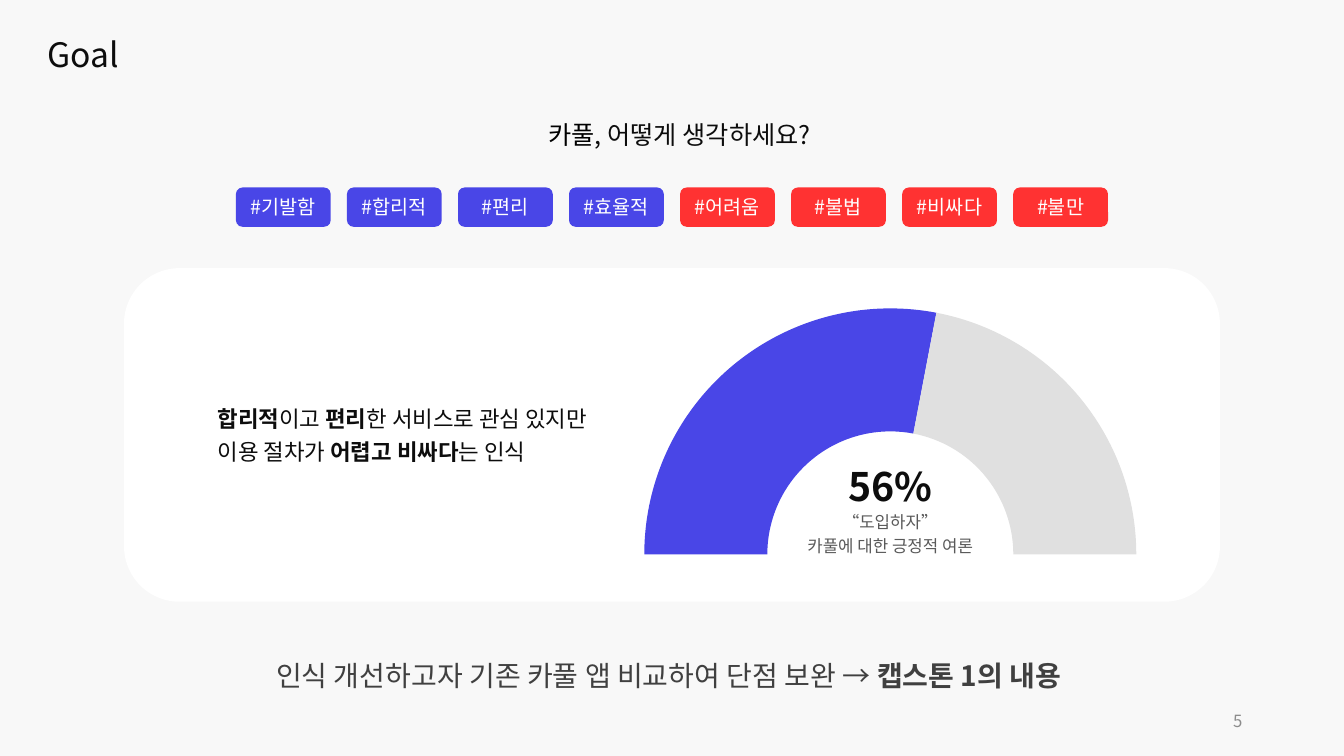
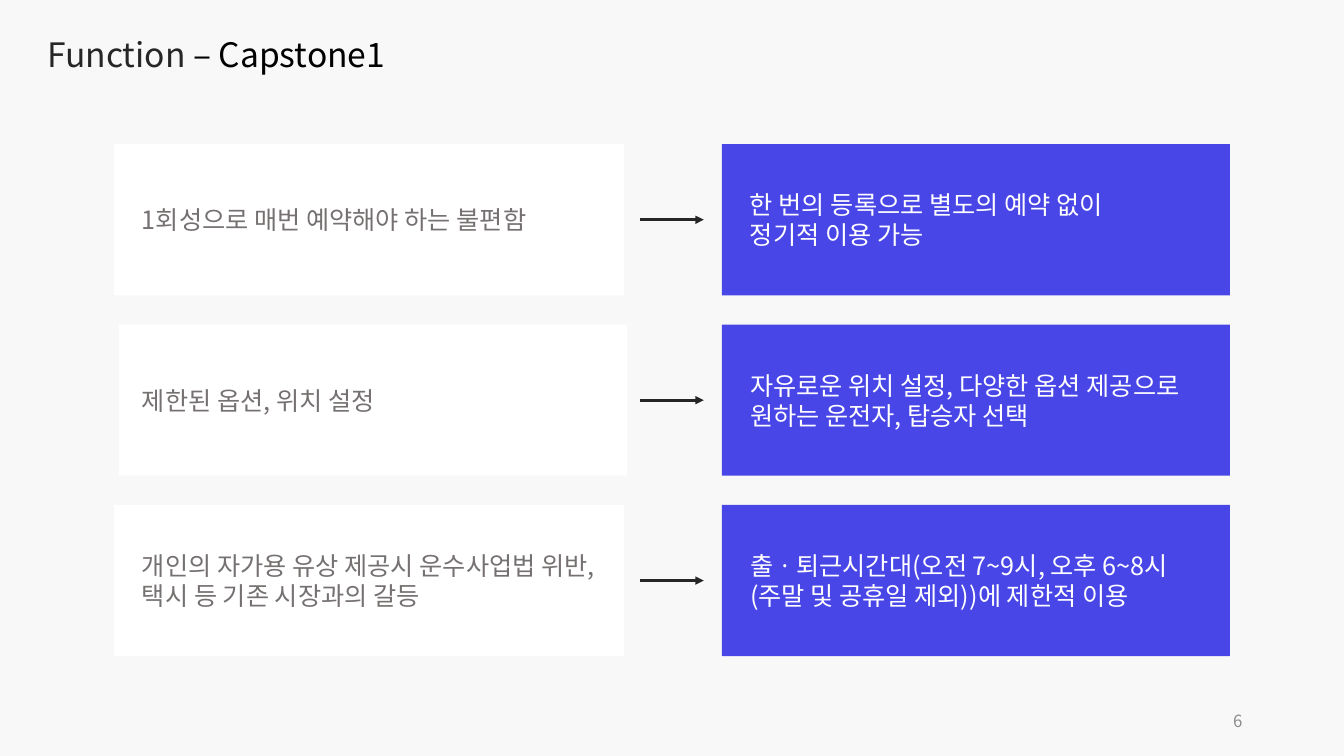
from pptx import Presentation
from pptx.dml.color import RGBColor
from pptx.enum.shapes import MSO_CONNECTOR, MSO_SHAPE
from pptx.enum.text import MSO_ANCHOR, PP_ALIGN
from pptx.oxml.ns import qn
from pptx.util import Inches, Pt
from lxml.etree import SubElement

FONT = "Noto Sans CJK KR"
COLORS = {
    "back": "F8F8F8", "white": "FFFFFF", "blue": "4946E7", "red": "FF3232",
    "track": "E0E0E0", "black": "000000", "ink": "0D0D0D", "dark": "262626",
    "closing": "404040", "caption": "595959", "muted": "767171", "number": "8C8C8C",
}


def add_shape(page, kind, left, top, width, height, color):
    shape = page.shapes.add_shape(kind, Inches(left), Inches(top), Inches(width), Inches(height))
    shape.shadow.inherit = False
    shape.fill.solid()
    shape.fill.fore_color.rgb = RGBColor.from_string(COLORS[color])
    shape.line.fill.background()
    return shape


def write(box, lines, size, color, align=PP_ALIGN.LEFT, spacing=None, anchor=MSO_ANCHOR.TOP):
    """Each line is a list of (text, bold) or (text, bold, color) runs."""
    frame = box.text_frame
    frame.word_wrap = True
    frame.vertical_anchor = anchor
    for index, line in enumerate(lines):
        para = frame.paragraphs[0] if index == 0 else frame.add_paragraph()
        para.alignment = align
        if spacing:
            para.line_spacing = spacing
        for text, bold, *own_color in line:
            span = para.add_run()
            span.text = text
            span.font.size = Pt(size)
            span.font.bold = bold
            span.font.color.rgb = RGBColor.from_string(COLORS[own_color[0] if own_color else color])
            span.font.name = FONT
            SubElement(span.font._element, qn("a:ea")).set("typeface", FONT)


deck = Presentation()
deck.slide_width, deck.slide_height = Inches(13.33), Inches(7.5)

# Shared parts: background, title, page number
titles = [
    ("5", [("Goal", False, "ink")]),
    ("6", [("Function", False, "dark"), (" – Capstone1", False, "black")]),
]
pages = []
for number, title in titles:
    page = deck.slides.add_slide(deck.slide_layouts[6])
    page.background.fill.solid()
    page.background.fill.fore_color.rgb = RGBColor.from_string(COLORS["back"])
    box = page.shapes.add_textbox(Inches(0.37), Inches(0.29), Inches(6), Inches(0.5))
    write(box, [title], 24, "ink")
    box = page.shapes.add_textbox(Inches(9.42), Inches(6.95), Inches(3), Inches(0.4))
    write(box, [[(number, False)]], 12, "number", PP_ALIGN.RIGHT, anchor=MSO_ANCHOR.MIDDLE)
    pages.append(page)
goal, function = pages

# Goal: white card
add_shape(goal, MSO_SHAPE.ROUNDED_RECTANGLE, 1.23, 2.66, 10.87, 3.31, "white")

# Goal: hashtags, positive then negative
tags = ["#기발함", "#합리적", "#편리", "#효율적", "#어려움", "#불법", "#비싸다", "#불만"]
for index, tag in enumerate(tags):
    color = "blue" if index < 4 else "red"
    shape = add_shape(goal, MSO_SHAPE.ROUNDED_RECTANGLE, 2.34 + index * 1.1014, 1.86, 0.94, 0.39, color)
    write(shape, [[(tag, False)]], 14, "white", PP_ALIGN.CENTER, anchor=MSO_ANCHOR.MIDDLE)

# Goal: half-ring gauge, 180 degrees for 100 %
radius, share = 2.44, 0.56
split = 180 + 180 * share
for start, end, color in [(180, split, "blue"), (split, 360, "track")]:
    arc = add_shape(goal, MSO_SHAPE.BLOCK_ARC, 8.83 - radius, 5.5 - radius, 2 * radius, 2 * radius, color)
    arc.adjustments[0] = start * 0.6
    arc.adjustments[1] = end % 360 * 0.6
    arc.adjustments[2] = 0.25

# Goal: texts
goal_texts = [
    (5.14, 1.07, 3.2, 0.44, 18, "ink", PP_ALIGN.CENTER,
     [[("카풀", False, "black"), (", 어떻게 생각하세요?", False)]]),
    (8.08, 4.44, 1.5, 0.63, 28, "ink", PP_ALIGN.CENTER, [[("56%", True)]]),
    (7.73, 4.99, 2.2, 0.57, 12, "caption", PP_ALIGN.CENTER,
     [[("“도입하자”", False)], [("카풀에 대한 긍정적 여론", False)]]),
    (2.06, 3.92, 3.89, 0.73, 16, "ink", PP_ALIGN.LEFT,
     [[("합리적", True), ("이고 ", False), ("편리", True), ("한 서비스로 관심 있지만", False)],
      [("이용 절차가 ", False), ("어렵고 비싸다", True), ("는 인식", False)]]),
    (2.64, 6.42, 8.06, 0.48, 20, "closing", PP_ALIGN.LEFT,
     [[("인식 개선하고자 기존 카풀 앱 비교하여 단점 보완 → ", False), ("캡스톤 1의 내용", True)]]),
]
for left, top, width, height, size, color, align, lines in goal_texts:
    box = goal.shapes.add_textbox(Inches(left), Inches(top), Inches(width), Inches(height))
    write(box, lines, size, color, align, spacing=1.2)

# Function: problem, arrow, solution (card left and width, then text width and lines)
rows = [
    (1.13, 5.06, 4.3, ["1회성으로 매번 예약해야 하는 불편함"],
     3.73, ["한 번의 등록으로 별도의 예약 없이", "정기적 이용 가능"]),
    (1.18, 5.04, 2.52, ["제한된 옵션, 위치 설정"],
     4.48, ["자유로운 위치 설정, 다양한 옵션 제공으로", "원하는 운전자, 탑승자 선택"]),
    (1.13, 5.06, 4.88, ["개인의 자가용 유상 제공시 운수사업법 위반,", "택시 등 기존 시장과의 갈등"],
     4.42, ["출ㆍ퇴근시간대(오전 7~9시, 오후 6~8시", "(주말 및 공휴일 제외))에 제한적 이용"]),
]
for index, (left, width, problem_width, problem, solution_width, solution) in enumerate(rows):
    top = 1.43 + index * 1.79
    add_shape(function, MSO_SHAPE.RECTANGLE, left, top, width, 1.5, "white")
    add_shape(function, MSO_SHAPE.RECTANGLE, 7.16, top, 5.04, 1.5, "blue")
    for text_left, text_width, lines, color in [
        (1.31, problem_width, problem, "muted"),
        (7.34, solution_width, solution, "white"),
    ]:
        text_top = top + (0.55 if len(lines) == 1 else 0.4)
        box = function.shapes.add_textbox(
            Inches(text_left), Inches(text_top), Inches(text_width), Inches(0.1 + 0.3 * len(lines)))
        write(box, [[(line, False)] for line in lines], 18, color)

    middle = Inches(top + 0.75)
    arrow = function.shapes.add_connector(MSO_CONNECTOR.STRAIGHT, Inches(6.35), middle, Inches(6.98), middle)
    arrow.line.width = Pt(2)
    arrow.line.color.rgb = RGBColor.from_string(COLORS["dark"])
    SubElement(arrow.line._get_or_add_ln(), qn("a:tailEnd")).set("type", "triangle")
    SubElement(arrow._element.spPr, qn("a:effectLst"))

deck.save("out.pptx")
